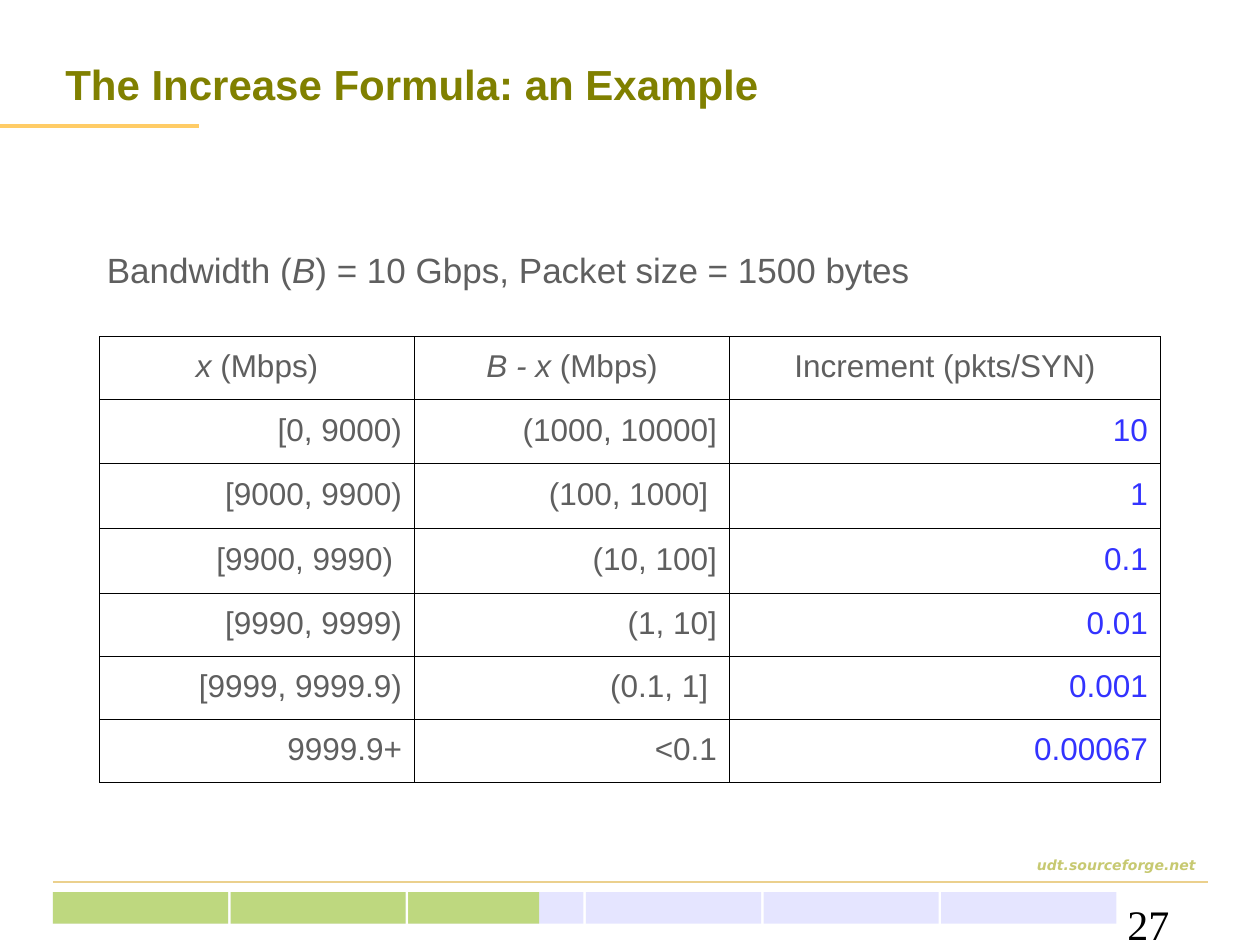
from dataclasses import dataclass
from lxml import etree
from pptx import Presentation
from pptx.dml.color import RGBColor
from pptx.enum import shapes, text
from pptx.oxml import ns
from pptx.util import Inches, Pt


@dataclass(frozen=True)
class Theme:
    sans: str = "Arial"
    site: str = "DejaVu Sans"
    serif: str = "Times New Roman"
    olive: str = "808000"
    gray: str = "5F5F5F"
    blue: str = "3333FF"
    black: str = "000000"
    gold: str = "FFCC66"
    sand: str = "EBD08D"
    moss: str = "C7C971"
    track: str = "CCCCFF"
    done: str = "99CC00"
    head: int = 24
    body: int = 20
    cell: int = 18
    small: int = 8


T = Theme()
LEFT, MID, RIGHT = text.PP_ALIGN.LEFT, text.PP_ALIGN.CENTER, text.PP_ALIGN.RIGHT

HEADS = [
    [("x", True), (" (Mbps)", False)],
    [("B - x", True), (" (Mbps)", False)],
    [("Increment (pkts/SYN)", False)],
]
ROWS = [
    ("[0, 9000)", "(1000, 10000]", "10"),
    ("[9000, 9900)", "(100, 1000] ", "1"),
    ("[9900, 9990) ", "(10, 100]", "0.1"),
    ("[9990, 9999)", "(1, 10]", "0.01"),
    ("[9999, 9999.9)", "(0.1, 1] ", "0.001"),
    ("9999.9+", "<0.1", "0.00067"),
]


def write(para, runs, font, size, color, bold=False, align=LEFT):
    """Add (words, italic) runs to a paragraph."""
    para.alignment = align
    for words, italic in runs:
        run = para.add_run()
        run.text = words
        run.font.name, run.font.size = font, Pt(size)
        run.font.bold, run.font.italic = bold, italic
        run.font.color.rgb = RGBColor.from_string(color)


def label(slide, box, runs, *style, anchor=text.MSO_ANCHOR.TOP, **more):
    frame = slide.shapes.add_textbox(*map(Inches, box)).text_frame
    frame.word_wrap = True
    frame.vertical_anchor = anchor
    write(frame.paragraphs[0], runs, *style, **more)


def rule(slide, left, top, width, color, weight):
    """Draw a level line."""
    line = slide.shapes.add_connector(
        shapes.MSO_CONNECTOR.STRAIGHT,
        *map(Inches, (left, top, left + width, top)))
    line.line.color.rgb = RGBColor.from_string(color)
    line.line.width = Pt(weight)
    etree.SubElement(line._element.spPr, ns.qn("a:effectLst"))


def block(slide, box, color):
    """Draw a half-transparent bar."""
    bar = slide.shapes.add_shape(shapes.MSO_SHAPE.RECTANGLE, *map(Inches, box))
    bar.shadow.inherit = False
    bar.line.fill.background()
    bar.fill.solid()
    bar.fill.fore_color.rgb = RGBColor.from_string(color)
    tint = bar._element.spPr.find(".//" + ns.qn("a:srgbClr"))
    etree.SubElement(tint, ns.qn("a:alpha"), val="50000")


def header(slide, left, top, width, height):
    rule(slide, 0, top + 0.75, 1.58, T.gold, 2.25)
    label(slide, (left, top, width, height),
          [("The Increase Formula: an Example", False)],
          T.sans, T.head, T.olive, bold=True, anchor=text.MSO_ANCHOR.MIDDLE)


def border(cell):
    props = cell._tc.get_or_add_tcPr()
    for i, side in enumerate(("lnL", "lnR", "lnT", "lnB")):
        edge = etree.Element(ns.qn("a:" + side), w=str(Pt(0.23)))
        fill = etree.SubElement(edge, ns.qn("a:solidFill"))
        etree.SubElement(fill, ns.qn("a:srgbClr"), val=T.black)
        props.insert(i, edge)


def grid(slide, left, top, widths, heights):
    box = map(Inches, (left, top, sum(widths), sum(heights)))
    table = slide.shapes.add_table(len(heights), len(widths), *box).table
    table.first_row = table.horz_banding = False
    for col, width in zip(table.columns, widths):
        col.width = Inches(width)
    for row, height in zip(table.rows, heights):
        row.height = Inches(height)
    lines = [HEADS] + [[[(word, False)] for word in row] for row in ROWS]
    for r, line in enumerate(lines):
        for c, runs in enumerate(line):
            cell = table.cell(r, c)
            cell.fill.background()
            cell.vertical_anchor = text.MSO_ANCHOR.MIDDLE
            border(cell)
            para = cell.text_frame.paragraphs[0]
            para.line_spacing = 0.93
            color = T.blue if r and c == 2 else T.gray
            write(para, runs, T.sans, T.cell, color, align=RIGHT if r else MID)


def footer(slide, left, top, width):
    """Place the site name, the progress bar and the page number."""
    label(slide, (left, top, width, 0.25), [("udt.sourceforge.net", False)][:0]
          or [("udt.sourceforge.net", True)],
          T.site, T.small, T.moss, bold=True, align=RIGHT)
    rule(slide, left, top + 0.25, width, T.sand, 1)
    step, full, high = 1.41, 1.39, 0.25
    for color, sizes in ((T.track, [full] * 6), (T.done, [full, full, 1.04])):
        for i, size in enumerate(sizes):
            block(slide, (left + i * step, top + 0.33, size, high), color)
    label(slide, (left + 8.43, top + 0.33, 0.74, 0.42), [("27", False)],
          T.serif, T.head, T.black)


def main():
    deck = Presentation()
    deck.slide_width, deck.slide_height = Inches(10), Inches(7.5)
    slide = deck.slides.add_slide(deck.slide_layouts[6])
    header(slide, 0.42, 0.25, 9.17, 0.83)
    label(slide, (0.75, 1.92, 8.5, 0.44),
          [("Bandwidth (", False), ("B", True),
           (") = 10 Gbps, Packet size = 1500 bytes", False)],
          T.sans, T.body, T.gray)
    grid(slide, 0.79, 2.67, (2.5, 2.5, 3.42),
         (0.5, 0.51, 0.51, 0.52, 0.5, 0.5, 0.5))
    footer(slide, 0.42, 6.75, 9.17)
    deck.save("out.pptx")


if __name__ == "__main__":
    main()
